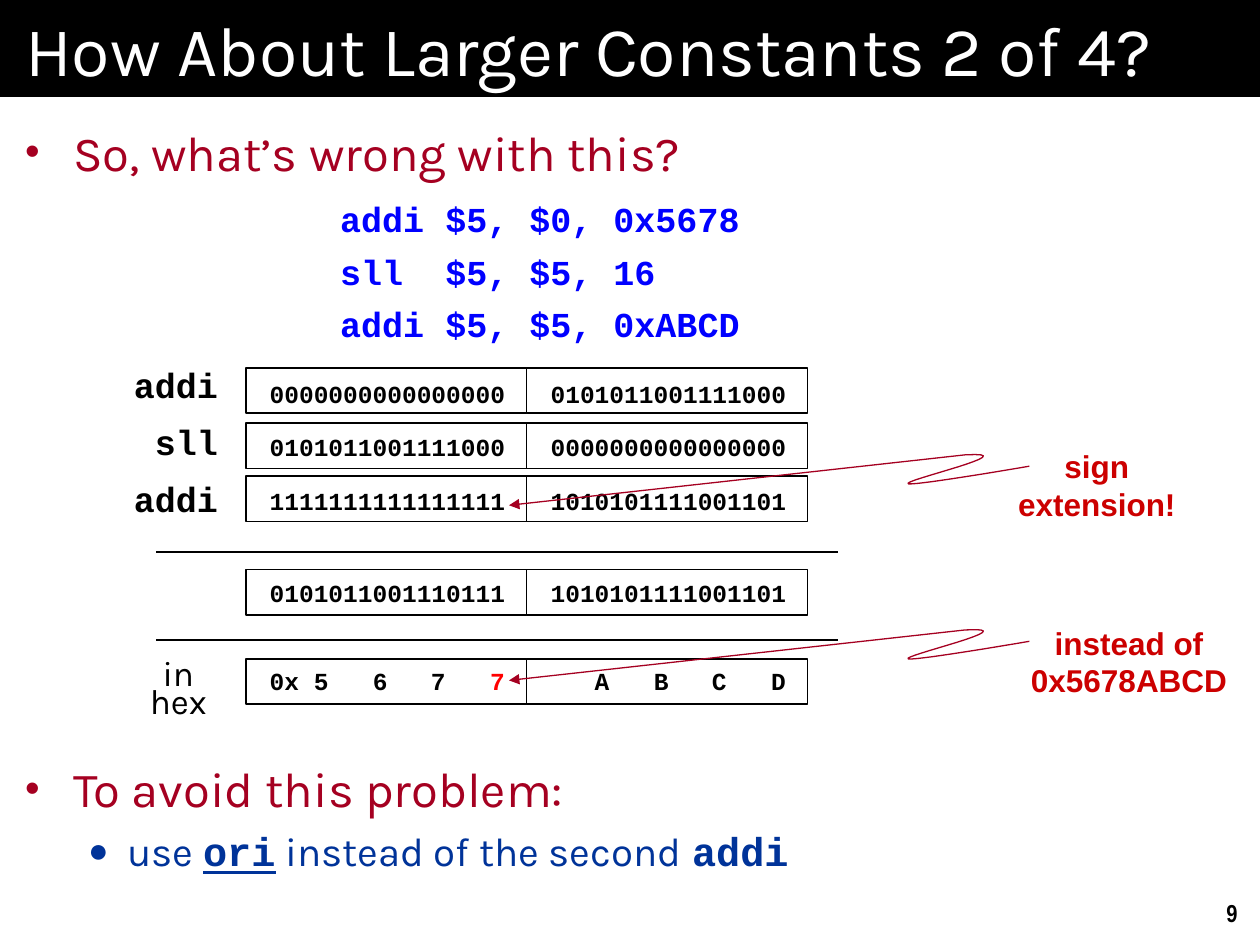
"""Build the slide about loading larger constants."""
import pptx
import pptx.dml.color
import pptx.enum.shapes
import pptx.enum.text
import pptx.oxml.ns
import pptx.util
from lxml import etree

Inches, Pt = pptx.util.Inches, pptx.util.Pt
ALIGN = pptx.enum.text.PP_ALIGN
SHAPE = pptx.enum.shapes.MSO_SHAPE

COLOURS = {"black": "000000", "white": "FFFFFF", "crimson": "A50021",
           "code": "0000FF", "navy": "003399", "note": "CC0000", "wrong": "FF0000"}
CODE_FONT, TEXT_FONT = "Courier New", "Karla"

TITLE = "How About Larger Constants 2 of 4?"
QUESTION = "So, what’s wrong with this?"
CODE = ["addi $5, $0, 0x5678", "sll  $5, $5, 16", "addi $5, $5, 0xABCD"]
SOLUTION = "To avoid this problem:"
ADVICE = [("use ", {}), ("ori", {"name": CODE_FONT, "bold": True, "underline": True}),
          (" instead of the second ", {}), ("addi", {"name": CODE_FONT, "bold": True})]
REGISTER_ROWS = [
    (2.92, 2.92, "0000000000000000", "0101011001111000"),
    (3.36, 3.34, "0101011001111000", "0000000000000000"),
    (3.78, 3.77, "1111111111111111", "1010101111001101"),
    (4.52, 4.5, "0101011001110111", "1010101111001101"),
    (5.23, 5.2, [("0x\t5\t6\t7\t", {}), ("7", {"colour": "wrong"})], "\tA\tB\tC\tD"),
]
ROW_LABELS = ["addi", "sll", "addi"]
RULES = [4.38, 5.08]
CALLOUTS = [("sign extension!", (7.83, 3.5, 1.75, 0.71), 3.61),
            ("instead of 0x5678ABCD", (8, 4.9, 1.92, 0.71), 5)]
SQUIGGLE_START = (4.04, 0.4)
SQUIGGLE_CURVES = [((7.66, 0), (8.18, -0.03), (7.13, 0.21), (7.21, 0.23)),
                   ((7.21, 0.23), (7.3, 0.24), (8.17, 0.09), (8.17, 0.09))]

CELL_LEFT, CELL_WIDTH, CELL_HEIGHT = 1.95, 2.23, 0.36
TAB_STOPS = [0.35, 0.82, 1.28, 1.75]
TIGHT = (0.02, 0.03, 0.02, 0.03)


def rgb(colour):
    return pptx.dml.color.RGBColor.from_string(COLOURS[colour])


def set_font(font, name=None, size=None, colour=None, bold=None, underline=None):
    if name:
        font.name = name
    if size:
        font.size = Pt(size)
    if colour:
        font.color.rgb = rgb(colour)
    if bold is not None:
        font.bold = bold
    if underline is not None:
        font.underline = underline


def add_child(parent, tag, **attributes):
    return etree.SubElement(parent, pptx.oxml.ns.qn(tag), **attributes)


def set_bullet(para, char, colour, margin, indent):
    props = para._p.get_or_add_pPr()
    props.set("marL", str(Inches(margin)))
    props.set("indent", str(Inches(-indent)))
    add_child(add_child(props, "a:buClr"), "a:srgbClr", val=COLOURS[colour])
    add_child(props, "a:buSzPct", val="85000")
    add_child(props, "a:buFont", typeface="Arial")
    add_child(props, "a:buChar", char=char)


def set_tabs(para, stops):
    tabs = add_child(para._p.get_or_add_pPr(), "a:tabLst")
    for stop in stops:
        add_child(tabs, "a:tab", pos=str(Inches(stop)), algn="l")


def fill_para(para, content, align=ALIGN.LEFT, line=None, **font):
    para.alignment = align
    if line:
        para.line_spacing = Pt(line)
    set_font(para.font, **font)
    for text, changes in [(content, {})] if isinstance(content, str) else content:
        span = para.add_run()
        span.text = text
        set_font(span.font, **changes)


def add_frame(page, place, insets=(0.1, 0.05, 0.1, 0.05)):
    frame = page.shapes.add_textbox(*map(Inches, place)).text_frame
    frame.word_wrap = True
    (frame.margin_left, frame.margin_top,
     frame.margin_right, frame.margin_bottom) = map(Inches, insets)
    return frame


def add_title(page):
    title = page.shapes.title
    title.left, title.top, title.width, title.height = map(Inches, (0, 0, 10, 0.77))
    title.fill.solid()
    title.fill.fore_color.rgb = rgb("black")
    frame = title.text_frame
    frame.auto_size = pptx.enum.text.MSO_AUTO_SIZE.NONE
    frame.vertical_anchor = pptx.enum.text.MSO_ANCHOR.MIDDLE
    frame.margin_left = frame.margin_right = Inches(0.2)
    fill_para(frame.paragraphs[0], TITLE, name=TEXT_FONT, size=40, colour="white")


def add_body(page):
    for text, top, height in [(QUESTION, 0.97, 0.5), (SOLUTION, 6.02, 1)]:
        frame = add_frame(page, (0, top, 10, height), (0.2, 0, 0.2, 0))
        para = frame.paragraphs[0]
        set_bullet(para, "•", "crimson", 0.38, 0.38)
        fill_para(para, text, name=TEXT_FONT, size=28, colour="crimson")
    para = frame.add_paragraph()
    para.space_before = Pt(5)
    set_bullet(para, "●", "navy", 0.81, 0.31)
    fill_para(para, ADVICE, name=TEXT_FONT, size=23, colour="navy")

    frame = add_frame(page, (2.7, 1.57, 4, 1.15), (0, 0, 0, 0))
    for index, text in enumerate(CODE):
        para = frame.add_paragraph() if index else frame.paragraphs[0]
        if index:
            para.space_before = Pt(6)
        fill_para(para, text, name=CODE_FONT, size=20, colour="code", bold=True)


def add_registers(page):
    for top, text_top, *halves in REGISTER_ROWS:
        for column, content in enumerate(halves):
            left = CELL_LEFT + column * CELL_WIDTH
            cell = page.shapes.add_shape(
                SHAPE.RECTANGLE, *map(Inches, (left, top, CELL_WIDTH, CELL_HEIGHT)))
            cell.shadow.inherit = False
            cell.fill.background()
            cell.line.color.rgb = rgb("black")
            cell.line.width = Pt(1)
            frame = add_frame(page, (left + 0.17, text_top, 2.05, 0.59), TIGHT)
            para = frame.paragraphs[0]
            set_tabs(para, TAB_STOPS)
            fill_para(para, content, line=21, name=CODE_FONT, size=14,
                      colour="black", bold=True)
    for index, label in enumerate(ROW_LABELS):
        frame = add_frame(page, (0.93, 2.97 + index * 0.45, 0.82, 0.3), TIGHT)
        fill_para(frame.paragraphs[0], label, ALIGN.RIGHT, 16, name=CODE_FONT,
                  size=20, colour="black", bold=True)
    frame = add_frame(page, (1.02, 5.25, 0.79, 0.5), TIGHT)
    fill_para(frame.paragraphs[0], "in hex", ALIGN.CENTER, 16, name=TEXT_FONT,
              size=20, colour="black")
    for height in RULES:
        rule = page.shapes.add_connector(
            pptx.enum.shapes.MSO_CONNECTOR.STRAIGHT,
            *map(Inches, (1.24, height, 6.65, height)))
        rule.line.color.rgb = rgb("black")
        rule.line.width = Pt(1)
        add_child(rule._element.spPr, "a:effectLst")


def curve_points(curve, steps=16):
    for step in range(steps + 1):
        t = step / steps
        weights = ((1 - t) ** 3, 3 * t * (1 - t) ** 2, 3 * t * t * (1 - t), t ** 3)
        yield tuple(sum(w * point[axis] for w, point in zip(weights, curve))
                    for axis in (0, 1))


def add_callouts(page):
    for text, place, top in CALLOUTS:
        frame = add_frame(page, place)
        fill_para(frame.paragraphs[0], text, ALIGN.CENTER, name="Arial", size=18,
                  colour="note", bold=True)
        start_x, start_y = SQUIGGLE_START
        builder = page.shapes.build_freeform(Inches(start_x), Inches(top + start_y))
        builder.add_line_segments(
            [(Inches(x), Inches(top + y))
             for curve in SQUIGGLE_CURVES for x, y in curve_points(curve)], close=False)
        squiggle = builder.convert_to_shape()
        squiggle.shadow.inherit = False
        squiggle.fill.background()
        squiggle.line.color.rgb = rgb("crimson")
        squiggle.line.width = Pt(0.75)
        add_child(squiggle.line._get_or_add_ln(), "a:headEnd", type="triangle")


def main():
    deck = pptx.Presentation()
    deck.slide_width, deck.slide_height = Inches(10), Inches(7.5)
    page = deck.slides.add_slide(deck.slide_layouts[5])
    add_title(page)
    add_body(page)
    add_registers(page)
    add_callouts(page)
    frame = add_frame(page, (9.5, 7.08, 0.42, 0.33))
    fill_para(frame.paragraphs[0], "9", ALIGN.RIGHT, name="Arial Narrow", size=14,
              colour="black", bold=True)
    deck.save("out.pptx")


if __name__ == "__main__":
    main()
